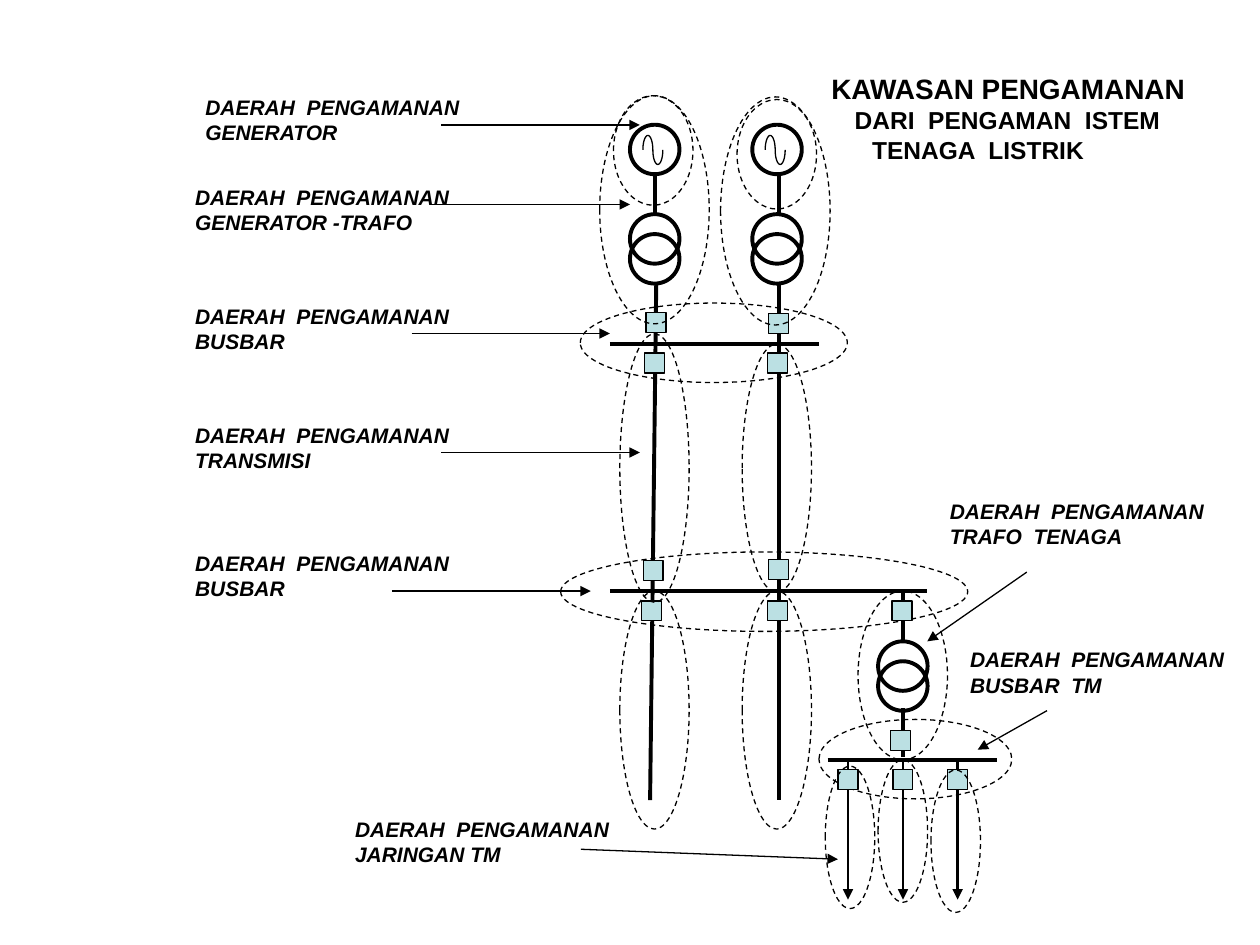
"""Build a one-slide diagram of the protection zones of a power system."""
import math

import pptx
import pptx.dml.color
import pptx.enum.dml
import pptx.enum.shapes
import pptx.oxml
import pptx.oxml.ns
import pptx.util

Pt = pptx.util.Pt
Shapes = pptx.enum.shapes.MSO_SHAPE
BLACK = pptx.dml.color.RGBColor(0x00, 0x00, 0x00)
BREAKER_FILL = pptx.dml.color.RGBColor(0xBB, 0xE0, 0xE3)
FONT = "Arial"
THIN, MEDIUM, THICK = 0.75, 1.5, 2.25
CIRCLE, BREAKER = 28.3, 11.4
COLUMNS = (360, 429.9)
TRANSFORMER_RISE = 11.4


def write(paragraph, text, *, size=12, italic=False, indent=0):
    run = paragraph.add_run()
    run.text = text
    run.font.name = FONT
    run.font.size = Pt(size)
    run.font.bold = True
    run.font.italic = italic
    run.font.color.rgb = BLACK
    if indent:
        paragraph._p.get_or_add_pPr().set("marL", str(int(Pt(indent))))


class Diagram:
    def __init__(self, slide):
        self.slide = slide

    def outline(self, shape, weight, fill=None, dashed=False):
        shape.shadow.inherit = False
        if fill is None:
            shape.fill.background()
        else:
            shape.fill.solid()
            shape.fill.fore_color.rgb = fill
        shape.line.color.rgb = BLACK
        shape.line.width = Pt(weight)
        if dashed:
            shape.line.dash_style = pptx.enum.dml.MSO_LINE.DASH

    def preset(self, kind, left, top, width, height, **style):
        shape = self.slide.shapes.add_shape(kind, Pt(left), Pt(top), Pt(width), Pt(height))
        self.outline(shape, **style)

    def circle(self, left, top):
        self.preset(Shapes.OVAL, left, top, CIRCLE, CIRCLE, weight=THICK)

    def transformer(self, left, top):
        self.circle(left, top)
        self.circle(left, top + TRANSFORMER_RISE)

    def breaker(self, left, top):
        self.preset(Shapes.RECTANGLE, left, top, BREAKER, BREAKER, weight=THIN, fill=BREAKER_FILL)

    def zone(self, left, top, width, height):
        self.preset(Shapes.OVAL, left, top, width, height, weight=THIN, dashed=True)

    def line(self, x1, y1, x2, y2, weight=THICK, arrow=False):
        connector = self.slide.shapes.add_connector(
            pptx.enum.shapes.MSO_CONNECTOR.STRAIGHT, Pt(x1), Pt(y1), Pt(x2), Pt(y2))
        connector.line.color.rgb = BLACK
        connector.line.width = Pt(weight)
        if arrow:
            head = pptx.oxml.parse_xml(
                f'<a:tailEnd {pptx.oxml.ns.nsdecls("a")} type="triangle"/>')
            connector.line._get_or_add_ln().append(head)
        connector._element.spPr.append(
            pptx.oxml.parse_xml(f'<a:effectLst {pptx.oxml.ns.nsdecls("a")}/>'))

    def sine(self, left, middle, radius=2.85, height=8.3, steps=16):
        points = []
        for centre, direction in ((left + radius, -1), (left + 3 * radius, 1)):
            for step in range(steps + 1):
                angle = math.pi * step / steps
                points.append((Pt(centre - radius * math.cos(angle)),
                               Pt(middle + direction * height * math.sin(angle))))
        builder = self.slide.shapes.build_freeform(*points[0])
        builder.add_line_segments(points[1:], close=False)
        self.outline(builder.convert_to_shape(), THIN)

    def text_box(self, left, top, width, height):
        box = self.slide.shapes.add_textbox(Pt(left), Pt(top), Pt(width), Pt(height))
        box.text_frame.word_wrap = False
        return box.text_frame

    def label(self, left, top, subject):
        frame = self.text_box(left, top, 159.8, 36)
        write(frame.paragraphs[0], "DAERAH  PENGAMANAN", italic=True)
        write(frame.add_paragraph(), subject, italic=True)

    def title(self, left, top, lines):
        frame = self.text_box(left, top, 218.2, 62.6)
        for index, (text, size, indent) in enumerate(lines):
            paragraph = frame.add_paragraph() if index else frame.paragraphs[0]
            write(paragraph, text, size=size, indent=indent)


def draw_generation(diagram):
    for left in COLUMNS:
        diagram.circle(left, 71.3)
        diagram.transformer(left, 122.4)
    for x1, y1, x2, y2 in (
            (374.4, 100, 374.4, 122.4), (445, 100, 445, 122.4),
            (375, 162, 371.5, 457.2), (445, 162, 445, 457.2),
            (348.5, 196.4, 468, 196.4), (348.5, 337.8, 529.9, 337.8)):
        diagram.line(x1, y1, x2, y2)
    for left, top in (
            (369.2, 178.6), (439.2, 179.2), (368.2, 201.8), (438.5, 201.8),
            (367.6, 320.2), (366.5, 343.4), (439.2, 319.8), (438.5, 343.4)):
        diagram.breaker(left, top)
    for zone in (
            (354.2, 190.8, 39.6, 153.4), (350.6, 54.7, 45.4, 62.6),
            (342.7, 54.7, 62.6, 130.3), (421.2, 56.9, 45.4, 62.6),
            (411.8, 55.4, 62.6, 130.3), (331.6, 173.2, 152.6, 45.4),
            (320.4, 315.4, 232.6, 45.4), (424.1, 196.6, 39.6, 141.8),
            (354.2, 337.7, 39.6, 136.1), (424.1, 337.7, 39.6, 136.1)):
        diagram.zone(*zone)
    for left in COLUMNS:
        diagram.sine(left + 7.4, 85.7)


def draw_distribution(diagram):
    diagram.transformer(501.8, 366.5)
    diagram.line(515.8, 337.7, 515.8, 366.5)
    diagram.line(516, 404.6, 516, 432.7)
    diagram.line(473, 434.2, 569.5, 434.2)
    feeders = (484.6, 516, 547.2)
    for x in feeders:
        diagram.line(x, 434.2, x, 514.1, MEDIUM, arrow=True)
    diagram.breaker(509.8, 343.4)
    diagram.zone(468, 411.1, 110.2, 45.4)
    diagram.zone(490.3, 337.7, 51.1, 96.5)
    diagram.breaker(509, 417.4)
    for x in feeders:
        diagram.breaker(x - BREAKER / 2, 439.9)
    for left, top in ((471.6, 437.8), (501.8, 434.2), (532, 440)):
        diagram.zone(left, top, 28.3, 81.4)


def draw_labels(diagram):
    for left, top, subject, arrow in (
            (110.2, 50.4, "GENERATOR", (252, 71.4, 365.6, 71.4)),
            (104.4, 101.7, "GENERATOR -TRAFO", (246.4, 116.8, 360, 116.8)),
            (104.4, 169.9, "BUSBAR", (235.2, 190.6, 348.5, 190.6)),
            (104.4, 237.8, "TRANSMISI", (252, 258.6, 365.6, 258.6)),
            (104.4, 311, "BUSBAR", (224, 337.8, 337.6, 337.8)),
            (535.7, 281.2, "TRAFO  TENAGA", (586.8, 326.9, 529.9, 366.5)),
            (547.2, 366.2, "BUSBAR  TM", (598.3, 406.1, 558.7, 428.4)),
            (195.8, 462.8, "JARINGAN TM", (331.9, 485.3, 478.8, 491))):
        diagram.line(*arrow, weight=THIN, arrow=True)
        diagram.label(left, top, subject)
    diagram.title(468, 37.4, (
        ("KAWASAN PENGAMANAN", 16, 0),
        ("DARI  PENGAMAN  ISTEM", 14, 13.3),
        ("TENAGA  LISTRIK", 14, 23.3)))


def main():
    presentation = pptx.Presentation()
    presentation.slide_width, presentation.slide_height = Pt(720), Pt(540)
    diagram = Diagram(presentation.slides.add_slide(presentation.slide_layouts[6]))
    draw_generation(diagram)
    draw_distribution(diagram)
    draw_labels(diagram)
    presentation.save("out.pptx")


if __name__ == "__main__":
    main()
